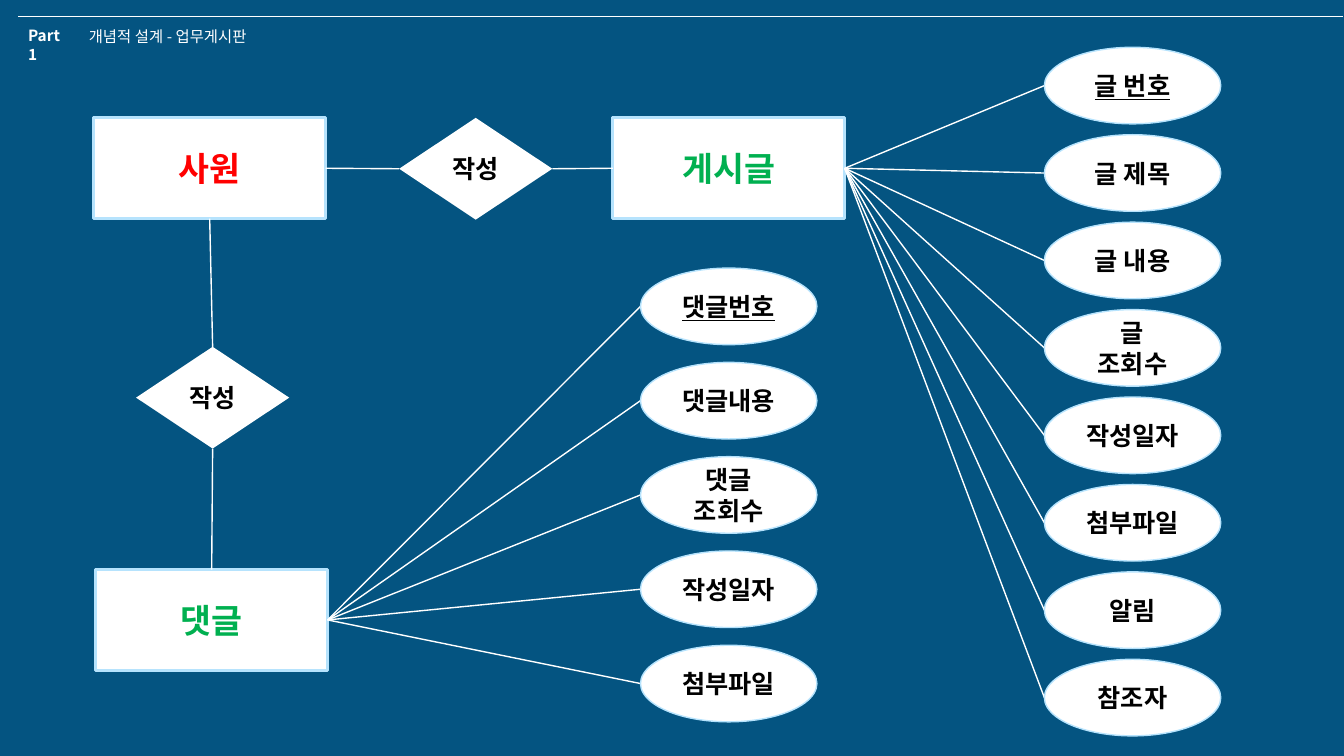
from dataclasses import dataclass

from lxml import etree
from pptx import Presentation
from pptx.dml.color import RGBColor
from pptx.enum import shapes, text
from pptx.oxml import ns
from pptx.util import Pt


@dataclass(frozen=True)
class Theme:
    background: str = "045481"
    white: str = "FFFFFF"
    border: str = "B6E3FD"
    black: str = "000000"
    red: str = "FF0000"
    green: str = "00B050"
    font: str = "Noto Sans CJK KR"
    header_size: float = 11
    label_size: float = 18
    entity_size: float = 24


@dataclass(frozen=True)
class Node:
    """A labelled box; a line break in the label starts a new paragraph."""
    label: str
    left: float
    top: float
    color: str
    underline: bool = False


@dataclass(frozen=True)
class Style:
    preset: shapes.MSO_SHAPE
    width: float
    height: float
    border: float
    size: float


@dataclass(frozen=True)
class AttributeColumn:
    """Attributes of one entity, evenly stacked; the first is the key."""
    left: float
    top: float
    step: float
    labels: tuple[str, ...]


THEME = Theme()
ENTITY = Style(shapes.MSO_SHAPE.RECTANGLE, 165.6, 72, 2.25, THEME.entity_size)
RELATION = Style(shapes.MSO_SHAPE.FLOWCHART_DECISION, 109.4, 72.7, 0, THEME.label_size)
ATTRIBUTE = Style(shapes.MSO_SHAPE.OVAL, 126, 54.7, 1, THEME.label_size)
TOP, LEFT, BOTTOM, RIGHT = range(4)

COMMENT_ATTRIBUTES = AttributeColumn(
    457.5, 191.5, 67.35,
    ("댓글번호", "댓글내용", "댓글\n조회수", "작성일자", "첨부파일"))
POST_ATTRIBUTES = AttributeColumn(
    746, 33.8, 62.45,
    ("글 번호", "글 제목", "글 내용", "글\n조회수", "작성일자", "첨부파일", "알림", "참조자"))


def rgb(color: str) -> RGBColor:
    return RGBColor.from_string(color)


def add_run(p, content: str, size: float, color: str,
            bold: bool = True, underline: bool = False) -> None:
    r = p.add_run()
    r.text = content
    font = r.font
    font.name, font.size, font.bold = THEME.font, Pt(size), bold
    font.underline = underline or None
    font.color.rgb = rgb(color)
    east_asian = etree.Element(ns.qn("a:ea"), typeface=THEME.font)
    r.font._element.find(ns.qn("a:latin")).addnext(east_asian)


def write_header(sp, content: str, bold: bool) -> None:
    tf = sp.text_frame
    tf.word_wrap = True
    tf.auto_size = text.MSO_AUTO_SIZE.NONE
    tf.vertical_anchor = text.MSO_ANCHOR.TOP
    p = tf.paragraphs[0]
    p.alignment = text.PP_ALIGN.LEFT
    add_run(p, content, THEME.header_size, THEME.white, bold)


def add_node(slide, node: Node, style: Style):
    sp = slide.shapes.add_shape(style.preset, Pt(node.left), Pt(node.top),
                                Pt(style.width), Pt(style.height))
    sp.shadow.inherit = False
    sp.fill.solid()
    sp.fill.fore_color.rgb = rgb(THEME.white)
    if style.border:
        sp.line.color.rgb = rgb(THEME.border)
        sp.line.width = Pt(style.border)
    else:
        sp.line.fill.background()
    tf = sp.text_frame
    tf.word_wrap = True
    tf.vertical_anchor = text.MSO_ANCHOR.MIDDLE
    for i, line in enumerate(node.label.split("\n")):
        p = tf.add_paragraph() if i else tf.paragraphs[0]
        p.alignment = text.PP_ALIGN.CENTER
        add_run(p, line, style.size, node.color, underline=node.underline)
    return sp


def add_line(slide, x1: float = 0, y1: float = 0, x2: float = 0, y2: float = 0,
             width: float = 1):
    line = slide.shapes.add_connector(shapes.MSO_CONNECTOR.STRAIGHT,
                                      Pt(x1), Pt(y1), Pt(x2), Pt(y2))
    line.line.color.rgb = rgb(THEME.white)
    line.line.width = Pt(width)
    etree.SubElement(line._element.spPr, ns.qn("a:effectLst"))
    return line


def join(slide, start, start_side: int, end, end_side: int) -> None:
    line = add_line(slide)
    line.begin_connect(start, start_side)
    line.end_connect(end, end_side)


def add_attributes(slide, entity, column: AttributeColumn) -> None:
    for i, label in enumerate(column.labels):
        top = column.top + i * column.step
        line = add_line(slide, x2=column.left, y2=top + ATTRIBUTE.height / 2)
        line.begin_connect(entity, RIGHT)
        add_node(slide, Node(label, column.left, top, THEME.black, underline=i == 0),
                 ATTRIBUTE)


def main() -> None:
    prs = Presentation()
    prs.slide_width, prs.slide_height = Pt(960), Pt(540)
    slide = prs.slides.add_slide(prs.slide_layouts[5])
    slide.background.fill.solid()
    slide.background.fill.fore_color.rgb = rgb(THEME.background)

    add_line(slide, 13, 11.5, 959, 11.5, 0.5)
    title = slide.shapes.title
    title.left, title.top, title.width, title.height = Pt(56.2), Pt(15.8), Pt(137), Pt(21)
    write_header(title, "개념적 설계 - 업무게시판", bold=False)
    part = slide.shapes.add_textbox(Pt(13), Pt(15.1), Pt(44), Pt(21))
    write_header(part, "Part 1", bold=True)

    employee = add_node(slide, Node("사원", 67, 84.2, THEME.red), ENTITY)
    post = add_node(slide, Node("게시글", 437.8, 84.2, THEME.green), ENTITY)
    comment = add_node(slide, Node("댓글", 68.4, 406.8, THEME.green), ENTITY)
    writes_post = add_node(slide, Node("작성", 285.1, 84.2, THEME.black), RELATION)
    writes_comment = add_node(slide, Node("작성", 97.2, 247.7, THEME.black), RELATION)

    join(slide, employee, RIGHT, writes_post, LEFT)
    join(slide, writes_post, RIGHT, post, LEFT)
    join(slide, employee, BOTTOM, writes_comment, TOP)
    join(slide, writes_comment, BOTTOM, comment, TOP)
    add_attributes(slide, comment, COMMENT_ATTRIBUTES)
    add_attributes(slide, post, POST_ATTRIBUTES)

    prs.save("out.pptx")


if __name__ == "__main__":
    main()
